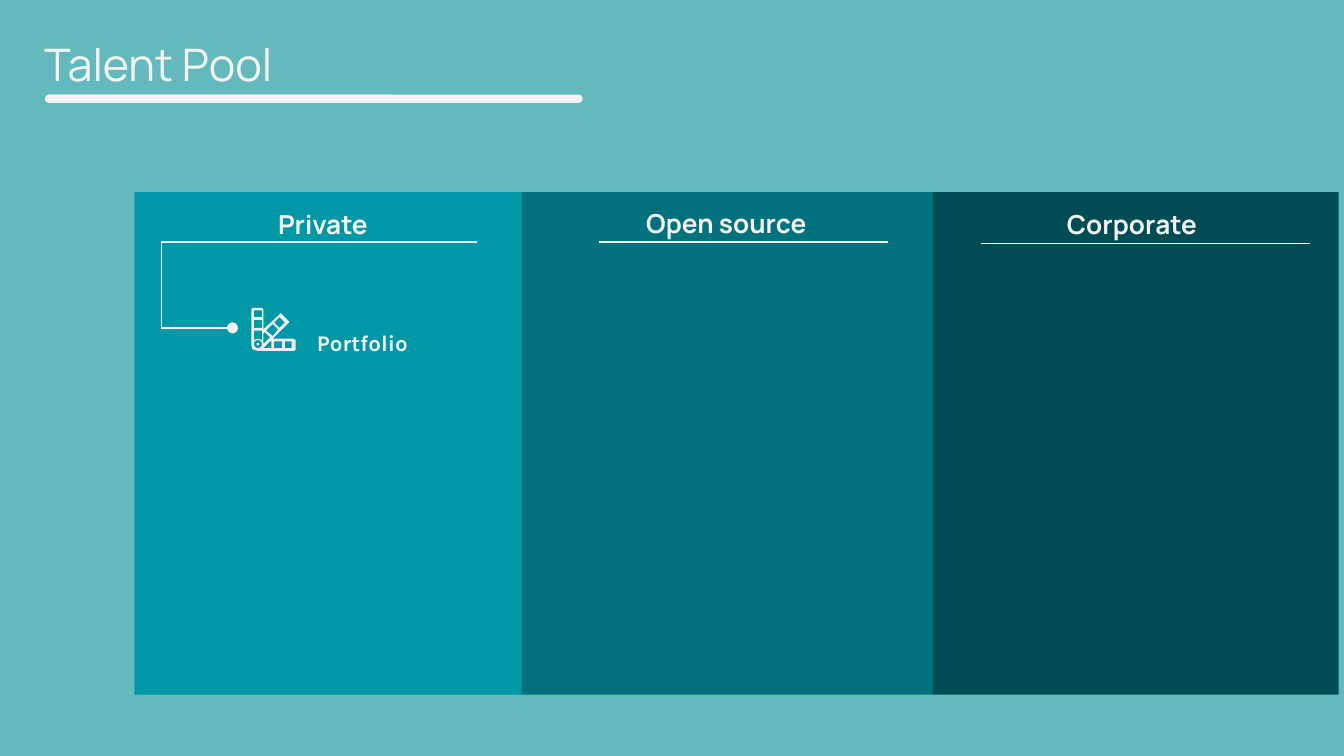
from math import cos, pi, sin

from lxml.etree import SubElement
from pptx import Presentation
from pptx.dml.color import RGBColor
from pptx.enum.shapes import MSO_CONNECTOR, MSO_SHAPE
from pptx.enum.text import MSO_ANCHOR
from pptx.oxml.ns import qn
from pptx.util import Inches, Pt

SLIDE_WIDTH = 10
SLIDE_HEIGHT = SLIDE_WIDTH * 9 / 16
BACKGROUND = "63B9BB"
LIGHT = "F3F3F3"
ICON = "EEEEEE"

PANEL_TOP, PANEL_HEIGHT = 1.43, 3.74
# heading, panel (left, width), colour, heading box (left, top, width), rule (left, right, y)
PANELS = [
    ("Private", (1.0, 2.88), "0097A7", (1.97, 1.45, 0.99), (1.2, 3.55, 1.8)),
    ("Open source", (3.88, 3.07), "00717D", (4.71, 1.44, 1.56), (4.46, 6.61, 1.8)),
    ("Corporate", (6.94, 3.02), "004C54", (7.84, 1.45, 1.32), (7.3, 9.75, 1.81)),
]
BRANCH_X, BRANCH_TOP, BRANCH_BOTTOM, BRANCH_END = 1.2, 1.8, 2.44, 1.73
TITLE_BAR_WIDTHS = [2.59, 3.99]

# Swatch-fan icon: outline, then the cells cut out of it
SWATCH_OUTLINE = [
    (1.88, 2.29), (1.87, 2.3), (1.87, 2.57), (1.88, 2.6), (1.92, 2.61), (2.19, 2.61),
    (2.2, 2.6), (2.2, 2.53), (2.18, 2.52), (2.03, 2.52), (2.15, 2.4), (2.15, 2.39),
    (2.09, 2.33), (2.08, 2.34), (1.96, 2.45), (1.96, 2.3), (1.95, 2.29),
]
SWATCH_CELLS = [
    [(1.95, 2.31), (1.95, 2.36), (1.89, 2.36), (1.89, 2.31)],
    [(1.95, 2.38), (1.95, 2.44), (1.89, 2.44), (1.89, 2.38)],
    [(2.08, 2.36), (2.12, 2.4), (2.08, 2.44), (2.04, 2.4)],
    [(2.03, 2.41), (2.07, 2.45), (2.03, 2.5), (1.98, 2.46)],
    [(1.95, 2.46), (1.95, 2.53), (1.92, 2.52), (1.89, 2.53), (1.89, 2.46)],
    [(1.97, 2.47), (2.01, 2.51), (1.96, 2.56), (1.96, 2.48)],
    [(2.02, 2.54), (2.02, 2.59), (1.96, 2.59), (2.01, 2.54)],
    [(2.1, 2.54), (2.1, 2.59), (2.04, 2.59), (2.04, 2.54)],
    [(2.17, 2.54), (2.17, 2.59), (2.12, 2.59), (2.12, 2.54)],
]
PIVOT = (1.92, 2.56)


def rgb(value):
    return RGBColor.from_string(value)


def paint(shape, fill, line=None):
    shape.shadow.inherit = False
    shape.fill.solid()
    shape.fill.fore_color.rgb = rgb(fill)
    if line:
        shape.line.color.rgb = rgb(line)
        shape.line.width = Pt(0.75)
    else:
        shape.line.fill.background()


def add_block(page, kind, left, top, width, height, fill, line=None):
    block = page.shapes.add_shape(kind, *map(Inches, (left, top, width, height)))
    paint(block, fill, line)
    return block


def add_text(page, text, left, top, width, height, size, font, bold=False):
    box = page.shapes.add_textbox(*map(Inches, (left, top, width, height)))
    frame = box.text_frame
    frame.word_wrap = True
    frame.margin_left = frame.margin_right = Inches(0.1)
    frame.margin_top = frame.margin_bottom = Inches(0.1)
    frame.text = text
    style = frame.paragraphs[0].runs[0].font
    style.size, style.name, style.bold = Pt(size), font, bold
    style.color.rgb = rgb(LIGHT)
    return frame


def add_line(page, x1, y1, x2, y2, dot=False):
    line = page.shapes.add_connector(
        MSO_CONNECTOR.STRAIGHT, *map(Inches, (x1, y1, x2, y2)))
    line.line.color.rgb = rgb(LIGHT)
    line.line.width = Pt(0.75)
    properties = line._element.spPr
    if dot:
        SubElement(properties.find(qn("a:ln")), qn("a:tailEnd"), type="oval")
    SubElement(properties, qn("a:effectLst"))


def circle(center, radius, steps=24):
    x, y = center
    return [(x + radius * cos(2 * pi * i / steps), y + radius * sin(2 * pi * i / steps))
            for i in range(steps)]


def add_outline(page, contours):
    """Draw closed contours as one shape; inner contours become holes."""
    contours = [[(Inches(x), Inches(y)) for x, y in points] for points in contours]
    builder = page.shapes.build_freeform(*contours[0][0])
    for index, points in enumerate(contours):
        if index:
            builder.move_to(*points[0])
        builder.add_line_segments(points[1:], close=True)
    paint(builder.convert_to_shape(), ICON)


deck = Presentation()
deck.slide_width, deck.slide_height = Inches(SLIDE_WIDTH), Inches(SLIDE_HEIGHT)
page = deck.slides.add_slide(deck.slide_layouts[6])
page.background.fill.solid()
page.background.fill.fore_color.rgb = rgb(BACKGROUND)

title = add_text(page, "Talent Pool", 0.23, 0.03, 2.56, 0.89, 24, "Manrope")
title.vertical_anchor = MSO_ANCHOR.MIDDLE
for width in TITLE_BAR_WIDTHS:
    bar = add_block(page, MSO_SHAPE.ROUNDED_RECTANGLE, 0.34, 0.71, width, 0.05, LIGHT, LIGHT)
    bar.adjustments[0] = 0.5

for heading, (left, width), colour, (text_left, text_top, text_width), rule in PANELS:
    add_block(page, MSO_SHAPE.RECTANGLE, left, PANEL_TOP, width, PANEL_HEIGHT, colour)
    add_text(page, heading, text_left, text_top, text_width, 0.38, 14, "Manrope", True)
    start, end, y = rule
    add_line(page, start, y, end, y)

add_line(page, BRANCH_X, BRANCH_TOP, BRANCH_X, BRANCH_BOTTOM)
add_line(page, BRANCH_X, BRANCH_BOTTOM, BRANCH_END, BRANCH_BOTTOM, dot=True)
add_text(page, "Portfolio", 2.26, 2.35, 1.78, 0.99, 12, "Karla", True)
add_outline(page, [SWATCH_OUTLINE, *SWATCH_CELLS, circle(PIVOT, 0.03)])
add_outline(page, [circle(PIVOT, 0.01)])

deck.save("out.pptx")
